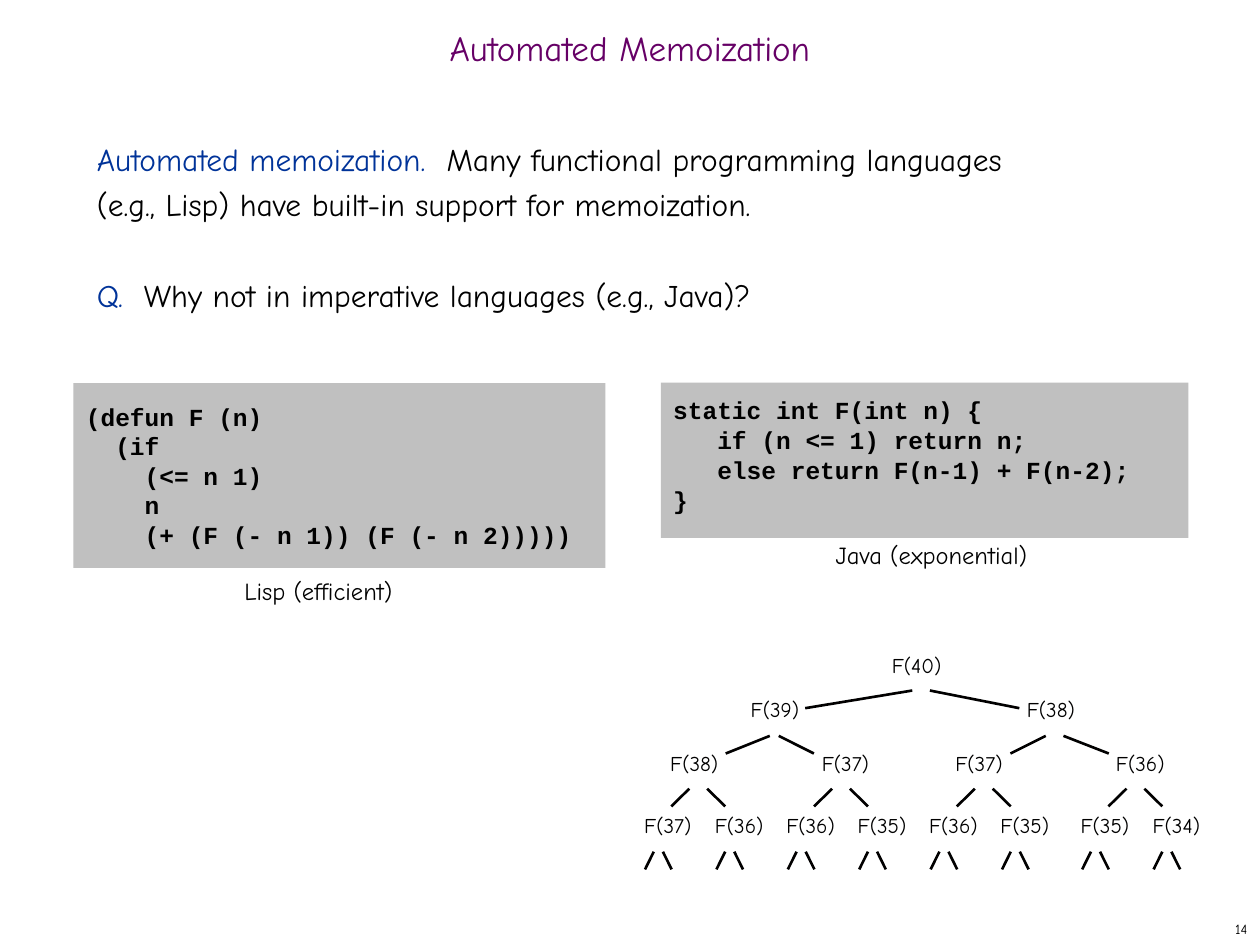
from dataclasses import dataclass

from lxml.etree import SubElement
from pptx import Presentation
from pptx.dml.color import RGBColor as Rgb
from pptx.enum.shapes import MSO_CONNECTOR as Connector, MSO_SHAPE as Preset
from pptx.enum.text import MSO_ANCHOR as Anchor, MSO_AUTO_SIZE as AutoSize, PP_ALIGN as Align
from pptx.oxml.ns import qn
from pptx.util import Pt

COLORS = {
    "title": "660066",
    "accent": "003399",
    "text": "000000",
    "tree": "010000",
    "code": "C0C0C0",
}
HAND = "Comic Neue"
MONO = "Courier New"
CODE_CHARACTER = 8.4
LABEL_WIDTH, LABEL_HEIGHT = 46, 21.6
BRANCH_DROP = 10.1


@dataclass(frozen=True)
class Area:
    left: float
    top: float
    width: float
    height: float

    def lengths(self) -> tuple:
        return tuple(Pt(value) for value in (self.left, self.top, self.width, self.height))


@dataclass(frozen=True)
class Code:
    area: Area
    inset: float
    lines: tuple
    spacing: dict


@dataclass(frozen=True)
class Caption:
    text: str
    area: Area
    size: float
    align: Align = Align.LEFT
    anchor: Anchor = Anchor.TOP
    wrap: bool = False


@dataclass(frozen=True)
class Level:
    label_top: float
    branch_top: float
    numbers: tuple
    centers: tuple
    branches: tuple


def set_values(target: object, values: dict) -> None:
    for name, value in values.items():
        setattr(target, name, value)


def add_span(para, text: str, size: float, color: str, face: str = HAND, bold: bool = False) -> None:
    span = para.add_run()
    span.text = text
    set_values(span.font, {"name": face, "size": Pt(size), "bold": bold})
    span.font.color.rgb = Rgb.from_string(COLORS[color])


def format_frame(frame, anchor: Anchor = Anchor.TOP, wrap: bool = True, inset: float = 3.6) -> None:
    set_values(frame, {
        "auto_size": AutoSize.NONE, "word_wrap": wrap, "vertical_anchor": anchor,
        "margin_left": Pt(7.2), "margin_right": Pt(7.2),
        "margin_top": Pt(inset), "margin_bottom": Pt(inset),
    })


def place(box, area: Area) -> None:
    set_values(box, dict(zip(("left", "top", "width", "height"), area.lengths())))


def fill_title(page) -> None:
    box = page.shapes.title
    place(box, Area(0, 12.2, 720, 36))
    format_frame(box.text_frame, Anchor.MIDDLE)
    para = box.text_frame.paragraphs[0]
    set_values(para, {"alignment": Align.CENTER, "line_spacing": 0.7})
    add_span(para, "Automated Memoization", 20, "title")


def fill_body(page) -> None:
    box = page.placeholders[1]
    place(box, Area(48.2, 72, 617.8, 426.2))
    format_frame(box.text_frame)
    support = box.text_frame.paragraphs[0]
    question = box.text_frame.add_paragraph()
    for para, gap in ((support, 0), (question, 26)):
        set_values(para, {"line_spacing": Pt(26), "space_before": Pt(gap), "alignment": Align.LEFT})
        properties = para._p.get_or_add_pPr()
        properties.set("marL", "0")
        properties.set("indent", "0")
        SubElement(properties, qn("a:buNone"))
    add_span(support, "Automated memoization.  ", 18, "accent")
    add_span(support, "Many functional programming languages", 18, "text")
    support.add_line_break()
    add_span(support, "(e.g., Lisp) have built-in support for memoization.", 18, "text")
    add_span(question, "Q.", 18, "accent")
    add_span(question, "  Why not in imperative languages (e.g., Java)?", 18, "text")


def draw_code(page, code: Code) -> None:
    box = page.shapes.add_shape(Preset.RECTANGLE, *code.area.lengths())
    box.shadow.inherit = False
    box.fill.solid()
    box.fill.fore_color.rgb = Rgb.from_string(COLORS["code"])
    box.line.fill.background()
    frame = box.text_frame
    format_frame(frame, Anchor.MIDDLE, inset=code.inset)
    for index, (indent, text) in enumerate(code.lines):
        para = frame.add_paragraph() if index else frame.paragraphs[0]
        set_values(para, {"alignment": Align.LEFT, **code.spacing})
        para._p.get_or_add_pPr().set("marL", str(Pt(indent * CODE_CHARACTER)))
        add_span(para, text, 14, "text", MONO, True)


def draw_caption(page, caption: Caption, color: str = "text") -> None:
    box = page.shapes.add_textbox(*caption.area.lengths())
    format_frame(box.text_frame, caption.anchor, caption.wrap)
    para = box.text_frame.paragraphs[0]
    para.alignment = caption.align
    add_span(para, caption.text, caption.size, color)


def draw_branch(page, start: float, end: float, top: float) -> None:
    points = (Pt(value) for value in (start, top, end, top + BRANCH_DROP))
    branch = page.shapes.add_connector(Connector.STRAIGHT, *points)
    branch.line.width = Pt(1.5)
    branch.line.color.rgb = Rgb.from_string(COLORS["tree"])
    SubElement(branch._element.spPr, qn("a:effectLst"))


def draw_level(page, level: Level) -> None:
    for number, center in zip(level.numbers, level.centers):
        area = Area(center - LABEL_WIDTH / 2, level.label_top, LABEL_WIDTH, LABEL_HEIGHT)
        draw_caption(page, Caption(f"F({number})", area, 12, Align.CENTER, wrap=True), "tree")
    for start, end in level.branches:
        draw_branch(page, start, end, level.branch_top)


def fork(pivots: list, gap: float, reach: float) -> tuple:
    return tuple((pivot + side * gap, pivot + side * reach) for pivot in pivots for side in (-1, 1))


def tree_levels() -> tuple:
    leaves = tuple(381.6 + 40.8 * index + (5 if index > 5 else 0) for index in range(8))
    parents = [(left + right) / 2 - 3 for left, right in zip(leaves[::2], leaves[1::2])]
    return (
        Level(369.4, 394.6, (40,), (523.8,), ((521.3, 460.1), (531.4, 582.5))),
        Level(394.6, 420.5, (39, 38), (442.8, 600.5),
              ((439.9, 414.7), (445, 465.1), (597.6, 577.4), (607.7, 633.6))),
        Level(425.5, 450.7, (38, 37, 37, 36), (396.7, 483.1, 559.4, 651.6), fork(parents, 5.1, 15.4)),
        Level(460.8, 486.7, (37, 36, 36, 35, 36, 35, 35, 34), leaves,
              fork([leaf - 5.4 for leaf in leaves], 2.6, 7.6)),
    )


CODES = (
    Code(Area(377.6, 218.7, 301.5, 88.7), 14.4, (
        (0, "static int F(int n) {"),
        (3, "if (n <= 1) return n;"),
        (3, "else return F(n-1) + F(n-2);"),
        (0, "}"),
    ), {"line_spacing": 0.5, "space_before": Pt(8.8)}),
    Code(Area(42, 218.9, 304, 105.6), 10.8, (
        (0, "(defun F (n)"),
        (2, "(if"),
        (4, "(<= n 1)"),
        (4, "n"),
        (4, "(+ (F (- n 1)) (F (- n 2)))))"),
    ), {}),
)
CAPTIONS = (
    Caption("Lisp (efficient)", Area(132.5, 325.5, 99.4, 24), 14),
    Caption("Java (exponential)", Area(470.5, 304.8, 124.6, 24), 14),
    Caption("14", Area(570.2, 522, 149.8, 18), 8, Align.RIGHT, Anchor.MIDDLE, True),
)


def main() -> None:
    deck = Presentation()
    set_values(deck, {"slide_width": Pt(720), "slide_height": Pt(540)})
    page = deck.slides.add_slide(deck.slide_layouts[1])
    fill_title(page)
    fill_body(page)
    for level in tree_levels():
        draw_level(page, level)
    for code in CODES:
        draw_code(page, code)
    for caption in CAPTIONS:
        draw_caption(page, caption)
    deck.save("out.pptx")


if __name__ == "__main__":
    main()
